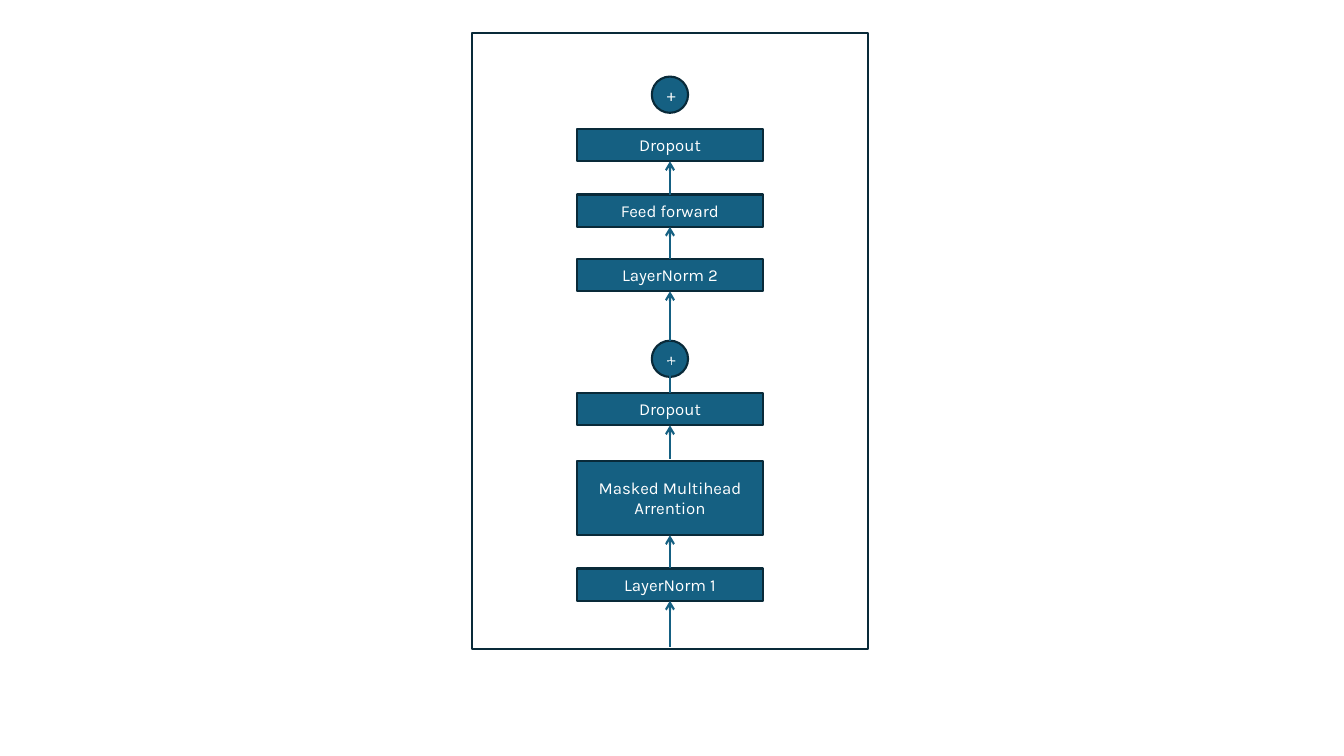
from lxml import etree
from pptx import Presentation
from pptx.dml.color import RGBColor
from pptx.enum import shapes, text
from pptx.oxml.ns import qn
from pptx.util import Inches, Pt

BLUE, NAVY, WHITE = "156082", "092A39", "FFFFFF"
MID = 6.645  # centre line of the stack
RECT = shapes.MSO_SHAPE.RECTANGLE
OVAL = shapes.MSO_SHAPE.OVAL


def color(code):
    return RGBColor.from_string(code)


def add_box(kind, top, wide, high):
    box = slide.shapes.add_shape(
        kind, Inches(MID - wide / 2), Inches(top), Inches(wide), Inches(high))
    box.shadow.inherit = False
    box.line.color.rgb = color(NAVY)
    box.line.width = Pt(1.5)
    return box


deck = Presentation()
deck.slide_width, deck.slide_height = Inches(13.33), Inches(7.5)
slide = deck.slides.add_slide(deck.slide_layouts[6])

# Outer frame
add_box(RECT, 0.33, 3.93, 6.11).fill.background()

# Layers and sums, top to bottom: label, shape, top, width, height
nodes = [
    ("+", OVAL, 0.76, 0.36, 0.36),
    ("Dropout", RECT, 1.28, 1.85, 0.32),
    ("Feed forward", RECT, 1.93, 1.85, 0.32),
    ("LayerNorm 2", RECT, 2.57, 1.85, 0.32),
    ("+", OVAL, 3.38, 0.36, 0.36),
    ("Dropout", RECT, 3.9, 1.85, 0.32),
    ("Masked Multihead Arrention", RECT, 4.57, 1.85, 0.74),
    ("LayerNorm 1", RECT, 5.64, 1.85, 0.32),
]
for label, kind, top, wide, high in nodes:
    node = add_box(kind, top, wide, high)
    node.fill.solid()
    node.fill.fore_color.rgb = color(BLUE)
    frame = node.text_frame
    frame.word_wrap = True
    frame.vertical_anchor = text.MSO_ANCHOR.MIDDLE
    para = frame.paragraphs[0]
    para.text = label
    para.alignment = text.PP_ALIGN.CENTER
    para.font.name = "Karla"
    para.font.size = Pt(12)
    para.font.color.rgb = color(WHITE)

# Upward links: start, end, arrowhead
links = [
    (1.93, 1.6, True),
    (2.57, 2.25, True),
    (3.38, 2.89, True),
    (3.9, 3.58, False),
    (4.55, 4.22, True),
    (5.64, 5.31, True),
    (6.42, 5.96, True),
]
for start, end, head in links:
    link = slide.shapes.add_connector(
        shapes.MSO_CONNECTOR.STRAIGHT,
        Inches(MID), Inches(start), Inches(MID), Inches(end))
    link.line.color.rgb = color(BLUE)
    link.line.width = Pt(1.5)
    if head:
        etree.SubElement(link.line._get_or_add_ln(), qn("a:tailEnd"), type="arrow")
    etree.SubElement(link._element.spPr, qn("a:effectLst"))

deck.save("out.pptx")
